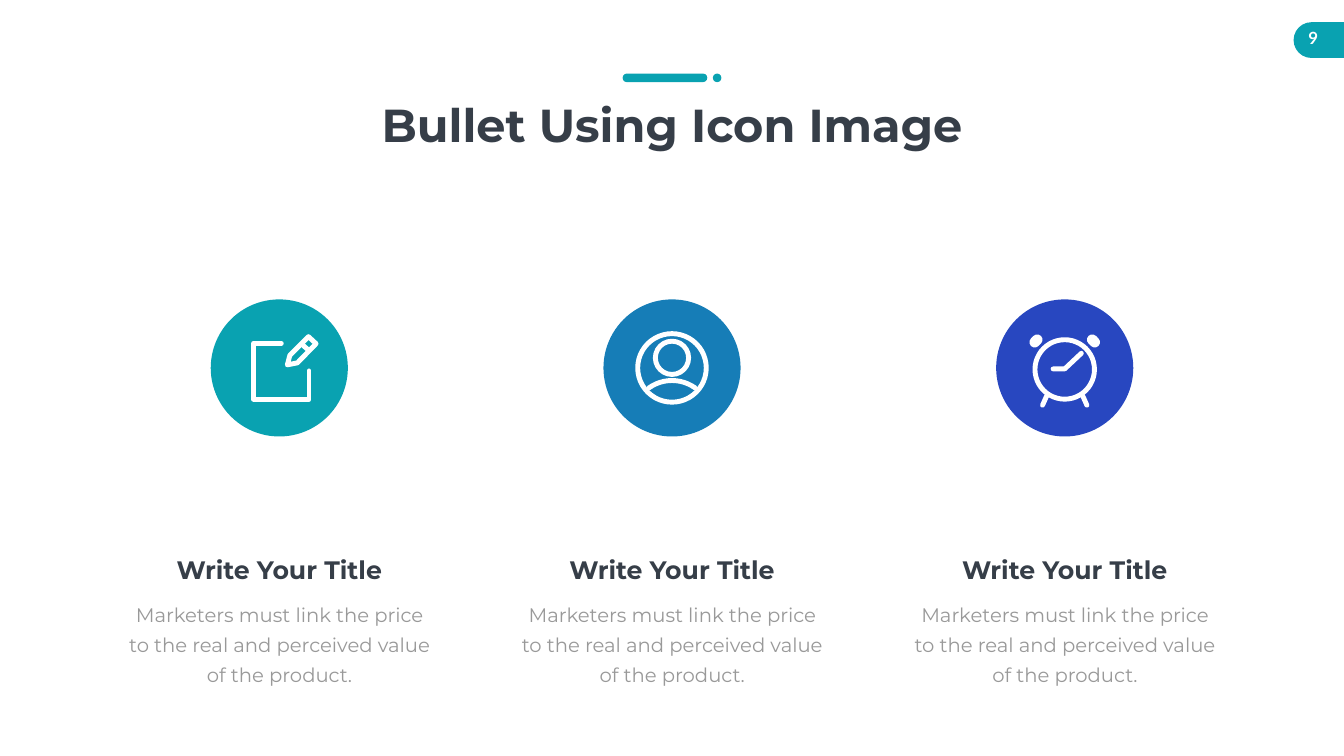
"""Build a slide with three icon bullets under a centred title."""
from math import cos, radians, sin

from pptx import Presentation
from pptx.dml.color import RGBColor
from pptx.enum.shapes import MSO_SHAPE as SHAPE
from pptx.enum.text import MSO_AUTO_SIZE as AUTO_SIZE, PP_ALIGN as ALIGN
from pptx.oxml.ns import qn
from pptx.util import Inches, Pt

COLORS = {
    "teal": "09A2B1",
    "blue": "167DB7",
    "indigo": "2847C0",
    "dark": "363E48",
    "gray": "999999",
    "white": "FFFFFF",
}
FORMATS = {
    "number": {"name": "Lato", "size": Pt(24), "bold": True},
    "title": {"name": "Montserrat", "size": Pt(66), "bold": True},
    "heading": {"name": "Montserrat", "size": Pt(36), "bold": True},
    "body": {"name": "Montserrat", "size": Pt(28), "bold": False},
}
STROKE = Pt(7)

presentation = Presentation()
presentation.slide_width = Inches(26.66)
presentation.slide_height = Inches(15)
slide = presentation.slides.add_slide(presentation.slide_layouts[6])


def add_text(text, box, style, color, wrap=True, spacing=None):
    shape = slide.shapes.add_textbox(*map(Inches, box))
    frame = shape.text_frame
    frame.word_wrap = wrap
    frame.auto_size = AUTO_SIZE.SHAPE_TO_FIT_TEXT
    paragraph = frame.paragraphs[0]
    paragraph.alignment = ALIGN.CENTER
    paragraph.line_spacing = spacing
    run = paragraph.add_run()
    run.text = text
    for name, value in FORMATS[style].items():
        setattr(run.font, name, value)
    run.font.color.rgb = RGBColor.from_string(COLORS[color])


def paint(shape, fill=None, stroke=None):
    shape.shadow.inherit = False
    for target, color in ((shape.fill, fill), (shape.line.fill, stroke)):
        if color:
            target.solid()
            target.fore_color.rgb = RGBColor.from_string(COLORS[color])
        else:
            target.background()
    if stroke:
        shape.line.width = STROKE
        outline = shape.line._get_or_add_ln()
        outline.set("cap", "rnd")
        outline.append(outline.makeelement(qn("a:round"), {}))


for kind, box in (
    (SHAPE.ROUNDED_RECTANGLE, (25.66, 0.44, 2.01, 0.71)),
    (SHAPE.ROUNDED_RECTANGLE, (12.35, 1.46, 1.68, 0.17)),
    (SHAPE.OVAL, (14.14, 1.46, 0.17, 0.17)),
):
    shape = slide.shapes.add_shape(kind, *map(Inches, box))
    if kind == SHAPE.ROUNDED_RECTANGLE:
        shape.adjustments[0] = 0.5
    paint(shape, fill="teal")

add_text("9", (25.66, 0.5, 0.78, 0.61), "number", "white", wrap=False)
add_text("Bullet Using Icon Image", (6.9, 1.86, 12.86, 1.21), "title", "dark")

shoulder_angles = [radians(-35.4 + 5.9 * step) for step in range(13)]
shoulders = [(0.79 * sin(angle), 1.04 - 0.79 * cos(angle)) for angle in shoulder_angles]
note_page = [(0.04, -0.49), (-0.51, -0.49), (-0.51, 0.62), (0.59, 0.62), (0.59, 0.06)]
pencil = [(0.16, -0.06), (0.21, -0.25), (0.58, -0.62), (0.73, -0.48), (0.36, -0.1), (0.16, -0.06)]
pencil_band = [(0.48, -0.44), (0.56, -0.37)]
clock_hands = [(0.33, -0.29), (0, 0.02), (-0.23, 0.02)]
clock_legs = [[(side * 0.36, 0.56), (side * 0.44, 0.74)] for side in (-1, 1)]

icons = (
    {"color": "teal", "rings": [], "paths": [[note_page], [pencil, pencil_band]], "bells": []},
    {"color": "blue", "rings": [(0, 0.68), (-0.2, 0.33)], "paths": [[shoulders]], "bells": []},
    {"color": "indigo", "rings": [(0.03, 0.59)], "paths": [clock_legs, [clock_hands]], "bells": [-1, 1]},
)

center_y = 7.3
for column, icon in enumerate(icons):
    center_x = 5.54 + 7.79 * column

    disc = slide.shapes.add_shape(
        SHAPE.OVAL, Inches(center_x - 1.36), Inches(center_y - 1.36), Inches(2.72), Inches(2.72)
    )
    paint(disc, fill=icon["color"])

    for offset, radius in icon["rings"]:
        ring = slide.shapes.add_shape(
            SHAPE.OVAL,
            Inches(center_x - radius),
            Inches(center_y + offset - radius),
            Inches(2 * radius),
            Inches(2 * radius),
        )
        paint(ring, stroke="white")

    for contours in icon["paths"]:
        placed = [
            [(Inches(center_x + x), Inches(center_y + y)) for x, y in contour]
            for contour in contours
        ]
        builder = slide.shapes.build_freeform(*placed[0][0])
        for index, contour in enumerate(placed):
            if index:
                builder.move_to(*contour[0])
            builder.add_line_segments(contour[1:], close=contour[0] == contour[-1])
        paint(builder.convert_to_shape(), stroke="white")

    for side in icon["bells"]:
        bell = slide.shapes.add_shape(
            SHAPE.ROUNDED_RECTANGLE,
            Inches(center_x + side * 0.57 - 0.14),
            Inches(center_y - 0.64),
            Inches(0.28),
            Inches(0.21),
        )
        bell.adjustments[0] = 0.5
        bell.rotation = side * 45
        paint(bell, fill="white")

    add_text("Write Your Title", (center_x - 2.14, 10.94, 4.28, 0.71), "heading", "dark", wrap=False)
    add_text(
        "Marketers must link the price to the real and perceived value of the product.",
        (center_x - 3.1, 11.78, 6.21, 1.86),
        "body",
        "gray",
        spacing=Pt(43),
    )

presentation.save("out.pptx")
